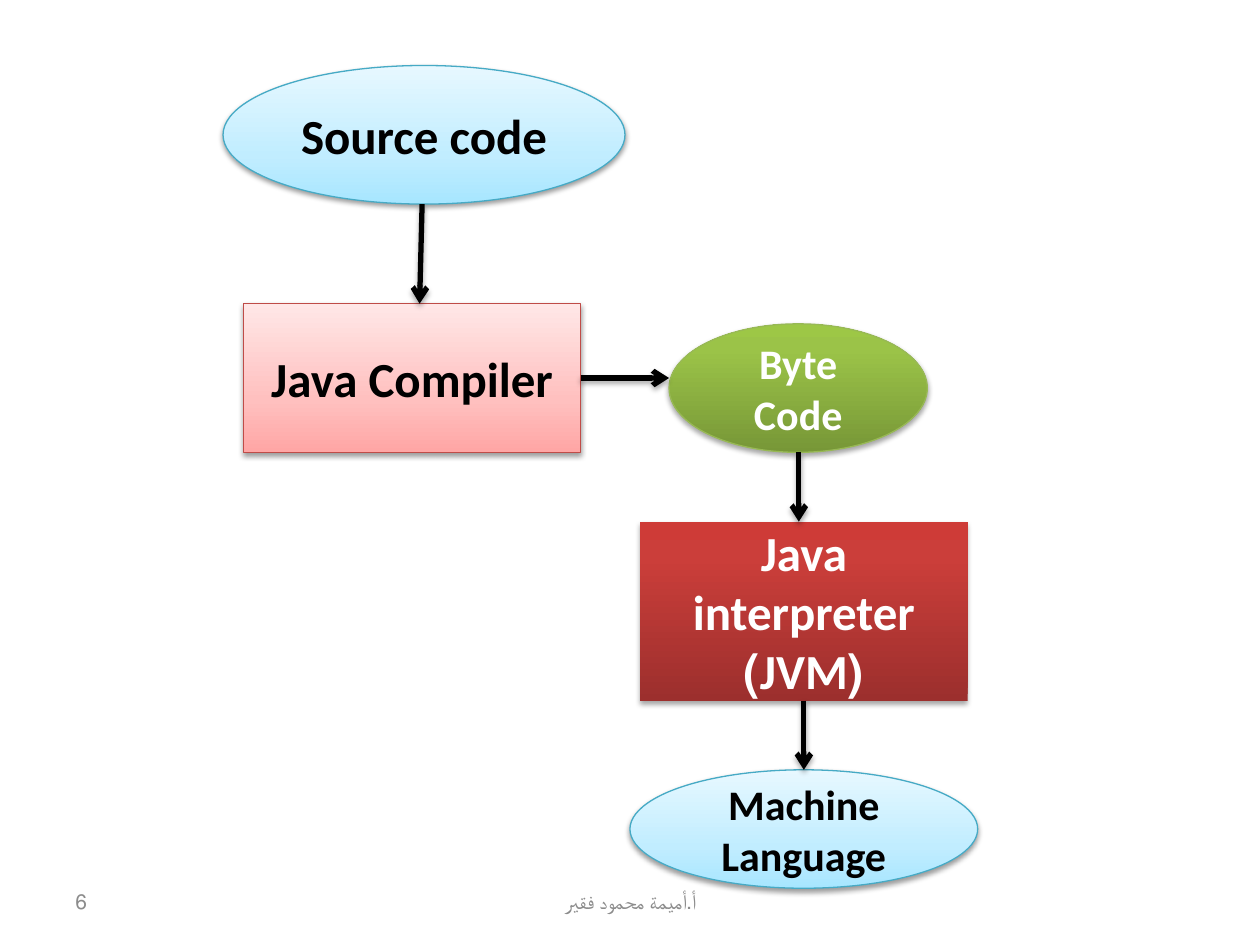
from lxml.etree import SubElement
from pptx import Presentation
from pptx.dml.color import RGBColor
from pptx.enum.shapes import MSO_CONNECTOR, MSO_SHAPE
from pptx.enum.text import MSO_ANCHOR, PP_ALIGN
from pptx.oxml.ns import qn
from pptx.util import Inches, Pt

FONT = "Calibri"
GREY = "8C8C8C"
OVAL, BOX = MSO_SHAPE.OVAL, MSO_SHAPE.RECTANGLE
SOFT_SHADOW, STRONG_SHADOW = (38, 1.6), (35, 1.8)  # opacity %, distance pt

# Looks: gradient stops from bottom to top, outline, text colour, shadow
BLUE = ([(0, "A7E6FF"), (35, "C1EDFF"), (100, "E7F8FF")], "46AAC5", "000000", SOFT_SHADOW)
PINK = ([(0, "FFA6A5"), (35, "FFC0BF"), (100, "FFE7E7")], "BF4C48", "000000", SOFT_SHADOW)
GREEN = ([(0, "779737"), (80, "9BC348"), (100, "9DC746")], "98B955", "FFFFFF", STRONG_SHADOW)
RED = ([(0, "9C2F2D"), (80, "CB3E3A"), (100, "CE3B37")], None, "FFFFFF", STRONG_SHADOW)

# Steps: key, outline shape, (left, top, width, height), look, text size, paragraphs
STEPS = [
    ("source", OVAL, (1.77, 0.52, 3.19, 1.1), BLUE, 28, ["Source code"]),
    ("compiler", BOX, (1.93, 2.41, 2.68, 1.18), PINK, 28, ["Java Compiler"]),
    ("bytecode", OVAL, (5.31, 2.57, 2.05, 1.02), GREEN, 24, ["Byte Code"]),
    ("interpreter", BOX, (5.08, 4.14, 2.6, 1.42), RED, 28, ["Java interpreter", "(JVM)"]),
    ("machine", OVAL, (5, 6.11, 2.76, 0.94), BLUE, 24, ["Machine Language"]),
]

# Arrows: start, end, (step, side) joined at the start and at the end
ARROWS = [
    ((3.35, 1.62), (3.33, 2.41), None, None),
    ((4.61, 3), (5.31, 3), ("compiler", 3), None),
    ((6.34, 3.59), (6.34, 4.14), None, None),
    ((6.38, 5.56), (6.38, 6.11), ("interpreter", 2), ("machine", 0)),
]

# Footer: text, (left, top, width, height), alignment
FOOTER = [
    ("أ.أميمة محمود فقير", (3.42, 6.95, 3.17, 0.4), PP_ALIGN.CENTER),
    ("6", (0.5, 6.95, 2.33, 0.4), PP_ALIGN.LEFT),
]


def rgb(colour):
    return RGBColor.from_string(colour)


def add_node(parent, tag, **attributes):
    return SubElement(parent, qn(tag), {k: str(v) for k, v in attributes.items()})


def add_gradient(properties, stops):
    gradient = add_node(properties, "a:gradFill", rotWithShape=1)
    stop_list = add_node(gradient, "a:gsLst")
    for share, colour in stops:
        stop = add_node(stop_list, "a:gs", pos=share * 1000)
        add_node(stop, "a:srgbClr", val=colour)
    add_node(gradient, "a:lin", ang=270 * 60000, scaled=0)


def add_shadow(properties, opacity, distance):
    effects = add_node(properties, "a:effectLst")
    shadow = add_node(effects, "a:outerShdw", blurRad=Pt(3.1), dist=Pt(distance),
                      dir=90 * 60000, rotWithShape=0)
    colour = add_node(shadow, "a:srgbClr", val="000000")
    add_node(colour, "a:alpha", val=opacity * 1000)


def write(frame, lines, size, colour, bold=False, align=PP_ALIGN.CENTER):
    frame.word_wrap = True
    frame.vertical_anchor = MSO_ANCHOR.MIDDLE
    for i, line in enumerate(lines):
        paragraph = frame.add_paragraph() if i else frame.paragraphs[0]
        paragraph.alignment = align
        paragraph._p.get_or_add_pPr().set("rtl", "1")
        run = paragraph.add_run()
        run.text = line
        run.font.name, run.font.size, run.font.bold = FONT, Pt(size), bold
        run.font.color.rgb = rgb(colour)


def add_step(slide, outline, place, look, size, lines):
    stops, edge, ink, shadow = look
    step = slide.shapes.add_shape(outline, *map(Inches, place))
    add_gradient(step._element.spPr, stops)
    if edge:
        step.line.color.rgb = rgb(edge)
        step.line.width = Pt(0.75)
    else:
        step.line.fill.background()
    add_shadow(step._element.spPr, *shadow)
    write(step.text_frame, lines, size, ink, bold=True)
    return step


def add_arrow(slide, start, end):
    arrow = slide.shapes.add_connector(MSO_CONNECTOR.STRAIGHT, *map(Inches, start + end))
    arrow.line.color.rgb = rgb("000000")
    arrow.line.width = Pt(3)
    add_node(arrow.line._get_or_add_ln(), "a:tailEnd", type="arrow")
    add_shadow(arrow._element.spPr, *STRONG_SHADOW)
    return arrow


def main():
    deck = Presentation()
    deck.slide_width, deck.slide_height = Inches(10), Inches(7.5)
    slide = deck.slides.add_slide(deck.slide_layouts[6])

    # Flow chart
    steps = {key: add_step(slide, *details) for key, *details in STEPS}
    for start, end, start_join, end_join in ARROWS:
        arrow = add_arrow(slide, start, end)
        if start_join:
            arrow.begin_connect(steps[start_join[0]], start_join[1])
        if end_join:
            arrow.end_connect(steps[end_join[0]], end_join[1])

    # Footer
    for text, place, align in FOOTER:
        note = slide.shapes.add_textbox(*map(Inches, place))
        write(note.text_frame, [text], 12, GREY, align=align)

    deck.save("out.pptx")


if __name__ == "__main__":
    main()
